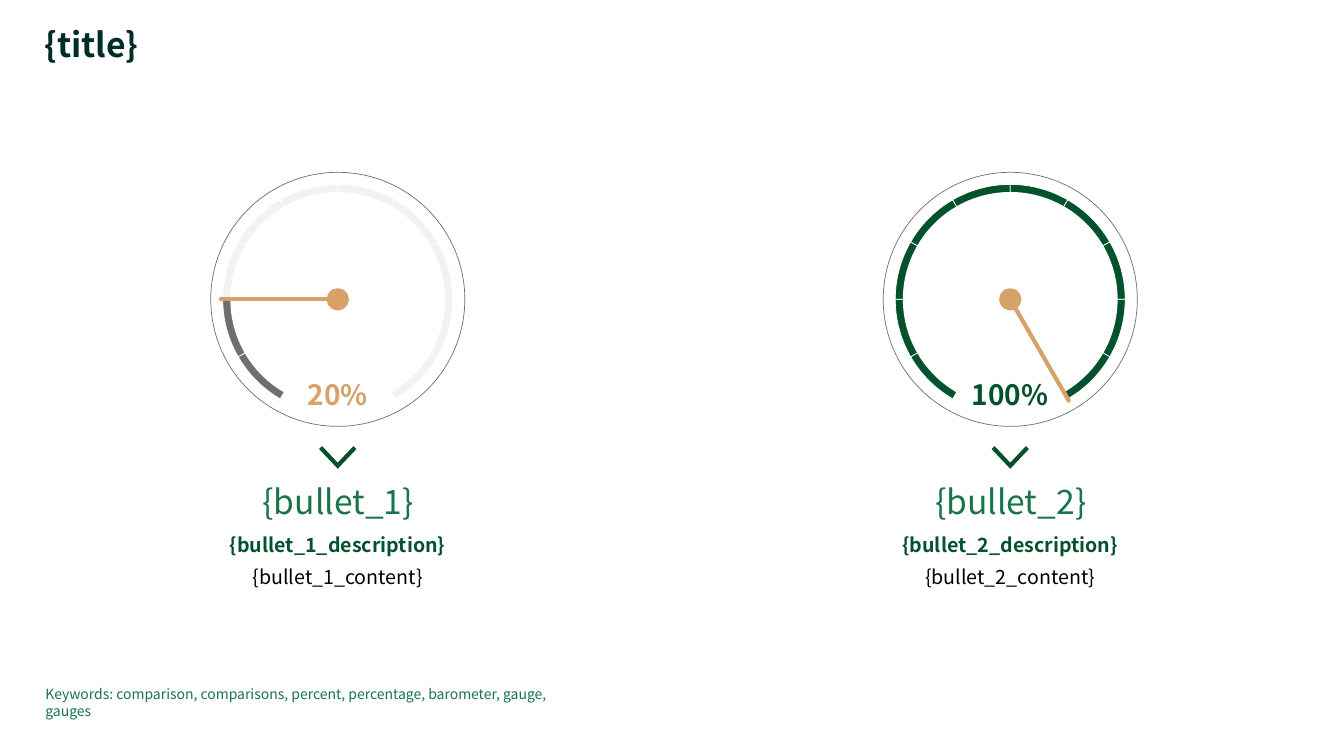
from math import cos, radians, sin

from lxml.etree import SubElement
from pptx import Presentation
from pptx.dml.color import RGBColor
from pptx.enum.shapes import MSO_CONNECTOR, MSO_SHAPE
from pptx.enum.text import MSO_ANCHOR, PP_ALIGN
from pptx.oxml.ns import qn
from pptx.util import Inches, Pt

FONT = "Noto Sans CJK JP"
COLORS = {
    "title": "002D28",
    "dark_green": "03522D",
    "green": "1A7449",
    "gold": "D6A26A",
    "gray": "6E6F73",
    "light": "F2F2F2",
    "white": "FFFFFF",
    "black": "000000",
}
CENTER_Y = 2.97
SEGMENTS = 10
SWEEP = 30
START_ANGLE = 120
ARC_STEPS = 15
SEGMENT_RADIUS = 1.14


def color(name):
    """Return the named colour."""
    return RGBColor.from_string(COLORS[name])


def style(shape, fill=None, line=None, width=0.5):
    """Set the fill and outline of a shape and remove its shadow."""
    shape.shadow.inherit = False
    if fill:
        shape.fill.solid()
        shape.fill.fore_color.rgb = color(fill)
    else:
        shape.fill.background()
    if line:
        shape.line.color.rgb = color(line)
        shape.line.width = Pt(width)
    else:
        shape.line.fill.background()


def add_text(slide, left, top, width, height, lines, align=PP_ALIGN.LEFT,
             after=0, spacing=None, anchor=MSO_ANCHOR.TOP, wrap=True):
    """Add a text box with one paragraph per (text, size, colour, bold) line."""
    box = slide.shapes.add_textbox(Inches(left), Inches(top), Inches(width), Inches(height))
    frame = box.text_frame
    frame.word_wrap = wrap
    frame.vertical_anchor = anchor
    frame.margin_left = frame.margin_top = frame.margin_right = frame.margin_bottom = 0
    for index, (text, size, name, bold) in enumerate(lines):
        para = frame.add_paragraph() if index else frame.paragraphs[0]
        para.text = text
        para.alignment = align
        para.space_after = Pt(after)
        if spacing:
            para.line_spacing = spacing
        para.font.name = FONT
        para.font.size = Pt(size)
        para.font.bold = bold
        para.font.color.rgb = color(name)


def add_outline(slide, points, close):
    """Add a freeform through points given in inches."""
    corners = [(Inches(x), Inches(y)) for x, y in points]
    builder = slide.shapes.build_freeform(*corners[0], scale=1.0)
    builder.add_line_segments(corners[1:], close=close)
    return builder.convert_to_shape()


def add_circle(slide, center_x, radius, **look):
    """Add a circle around the middle of a gauge."""
    circle = slide.shapes.add_shape(
        MSO_SHAPE.OVAL, Inches(center_x - radius), Inches(CENTER_Y - radius),
        Inches(2 * radius), Inches(2 * radius))
    style(circle, **look)


def polar(center_x, radius, angle):
    """Return the point at a clockwise angle from the right of a gauge."""
    return (center_x + radius * cos(radians(angle)),
            CENTER_Y + radius * sin(radians(angle)))


def add_segment(slide, center_x, index, fill):
    """Add one pie slice of the gauge scale."""
    first = START_ANGLE + index * SWEEP
    arc = [polar(center_x, SEGMENT_RADIUS, first + SWEEP * step / ARC_STEPS)
           for step in range(ARC_STEPS + 1)]
    segment = add_outline(slide, [(center_x, CENTER_Y)] + arc, True)
    style(segment, fill, "white")


def add_needle(slide, center_x, angle):
    """Add the round-ended needle of a gauge and its hub."""
    tip = polar(center_x, 1.16, angle)
    needle = slide.shapes.add_connector(
        MSO_CONNECTOR.STRAIGHT, Inches(tip[0]), Inches(tip[1]),
        Inches(center_x), Inches(CENTER_Y))
    needle.line.color.rgb = color("gold")
    needle.line.width = Pt(3)
    needle.line._get_or_add_ln().set("cap", "rnd")
    SubElement(needle._element.spPr, qn("a:effectLst"))
    add_circle(slide, center_x, 0.09, fill="gold", line="gold", width=3)


def add_gauge(slide, center_x, percent, active, number_color):
    """Add a gauge with its scale, rings, number and needle."""
    filled = percent * SEGMENTS // 100
    for index in range(SEGMENTS):
        add_segment(slide, center_x, index, active if index < filled else "light")
    add_circle(slide, center_x, 1.26, line="gray")
    add_circle(slide, center_x, 1.065, fill="white")
    add_text(slide, center_x - 0.4, 3.8, 0.8, 0.25,
             [(f"{percent}%", 20, number_color, True)],
             PP_ALIGN.CENTER, spacing=0.95, anchor=MSO_ANCHOR.MIDDLE, wrap=False)
    add_needle(slide, center_x, START_ANGLE + SWEEP * filled)


def add_caption(slide, center_x, bullet):
    """Add the chevron and the texts below a gauge."""
    chevron = add_outline(slide, [(center_x - 0.17, 4.44), (center_x, 4.62),
                                  (center_x + 0.17, 4.44)], False)
    style(chevron, line="dark_green", width=3)
    SubElement(chevron.line._get_or_add_ln(), qn("a:miter"), lim="800000")
    add_text(slide, center_x - 2.89, 4.77, 5.79, 0.4,
             [(f"{{{bullet}}}", 24, "green", False)], PP_ALIGN.CENTER, after=6)
    add_text(slide, center_x - 2.58, 5.29, 5.16, 0.56,
             [(f"{{{bullet}_description}}", 14, "dark_green", True),
              (f"{{{bullet}_content}}", 14, "black", False)],
             PP_ALIGN.CENTER, after=6)


def main():
    """Build the slide with two gauges and save it."""
    deck = Presentation()
    deck.slide_width = Inches(13.33)
    deck.slide_height = Inches(7.5)
    slide = deck.slides.add_slide(deck.slide_layouts[6])
    add_text(slide, 0.44, 0.28, 11.03, 0.37,
             [("{title}", 24, "title", True)], spacing=0.9)
    gauges = [
        (3.35, 20, "gray", "gold", "bullet_1"),
        (10.02, 100, "dark_green", "dark_green", "bullet_2"),
    ]
    for center_x, percent, active, number_color, bullet in gauges:
        add_gauge(slide, center_x, percent, active, number_color)
        add_caption(slide, center_x, bullet)
    add_text(slide, 0.45, 6.8, 5.31, 0.17,
             [("Keywords: comparison, comparisons, percent, percentage, "
               "barometer, gauge, gauges", 10, "green", False)])
    deck.save("out.pptx")


if __name__ == "__main__":
    main()
